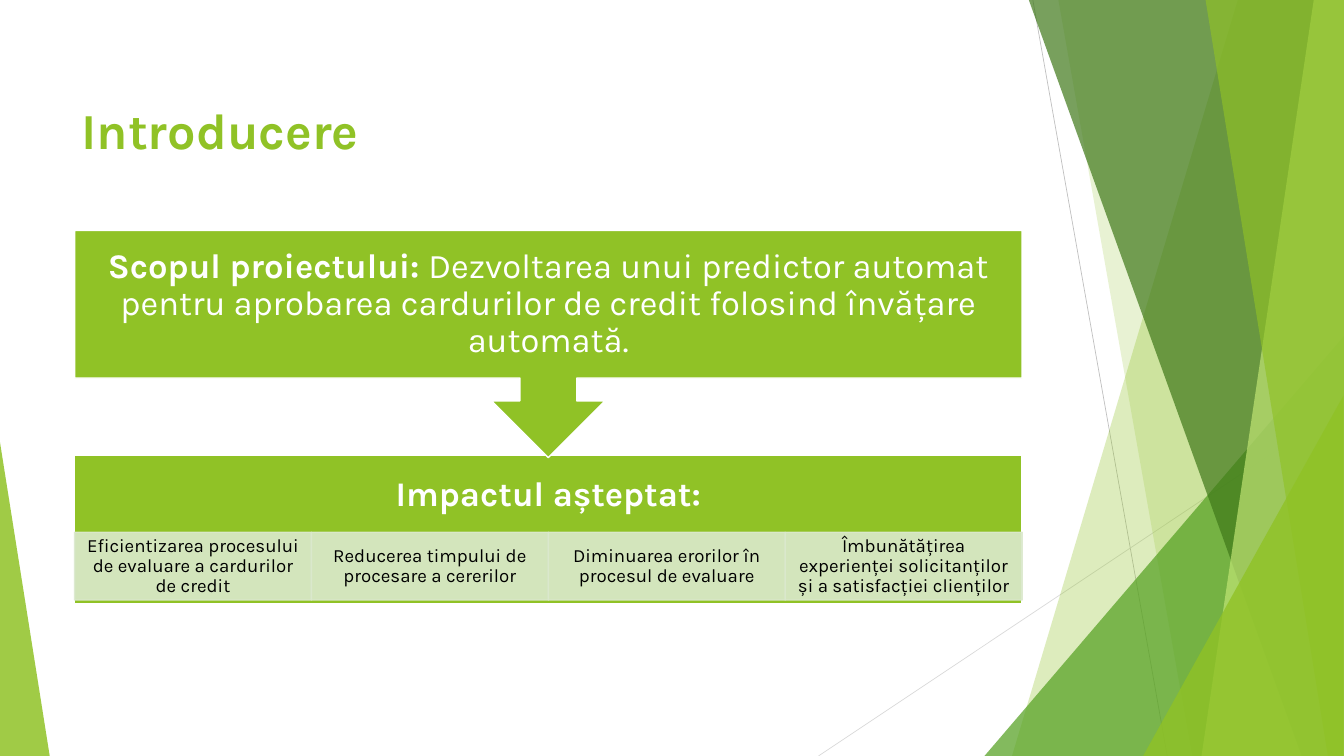
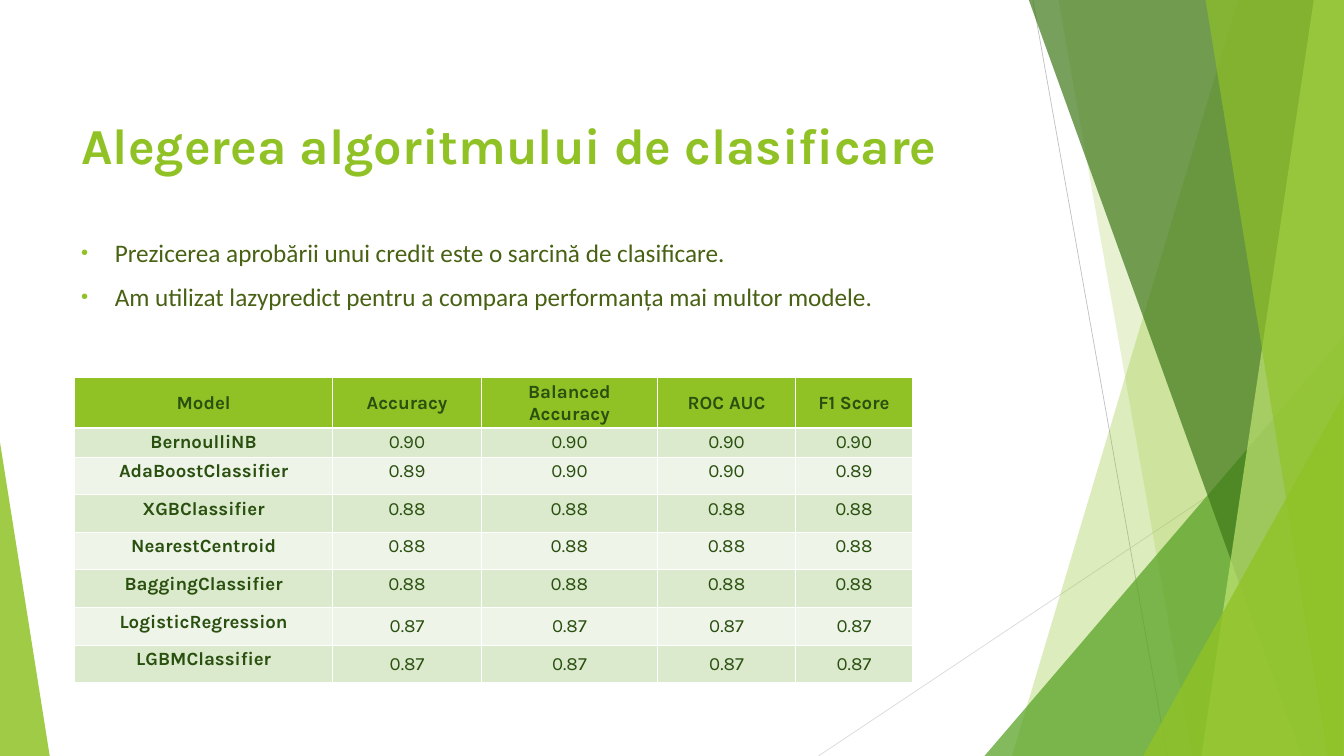
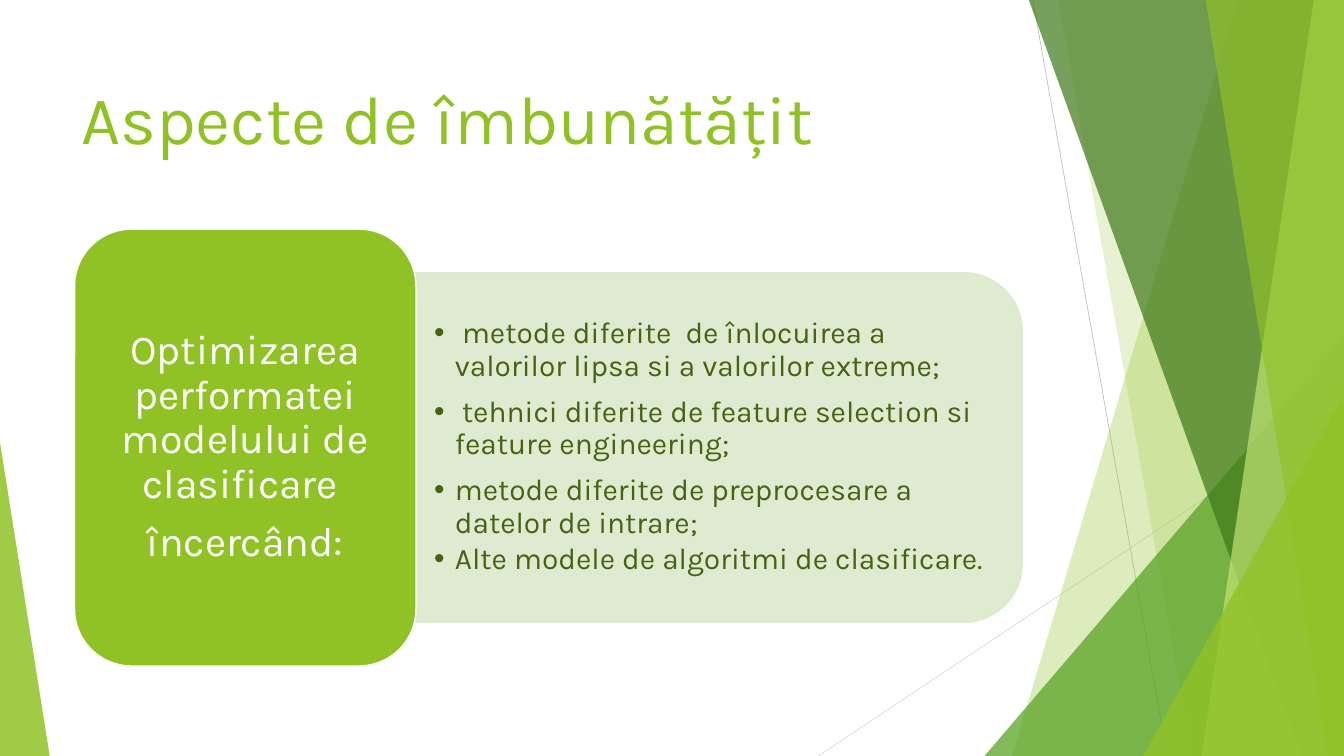
from dataclasses import dataclass

from lxml.etree import SubElement
from pptx import Presentation
from pptx.dml.color import RGBColor
from pptx.enum.shapes import MSO_CONNECTOR, MSO_SHAPE
from pptx.enum.text import MSO_ANCHOR, MSO_AUTO_SIZE, PP_ALIGN
from pptx.oxml.ns import qn
from pptx.util import Inches, Pt

RECT = MSO_SHAPE.RECTANGLE
ROUND_RECT = MSO_SHAPE.ROUNDED_RECTANGLE
TAB_RECT = MSO_SHAPE.ROUND_2_SAME_RECTANGLE
CALLOUT = MSO_SHAPE.DOWN_ARROW_CALLOUT
TRIANGLE = MSO_SHAPE.ISOSCELES_TRIANGLE
STRAIGHT = MSO_CONNECTOR.STRAIGHT
LEFT, CENTER = PP_ALIGN.LEFT, PP_ALIGN.CENTER
TOP, MIDDLE = MSO_ANCHOR.TOP, MSO_ANCHOR.MIDDLE
NO_FIT = MSO_AUTO_SIZE.NONE

WIDTH, HEIGHT = Inches(20), Inches(11.25)
HEAD_FONT, BODY_FONT = "Karla", "Calibri"
TITLE_ONLY = 5

COLORS = {
    "white": "FFFFFF", "black": "000000", "lime": "90C226", "leaf": "54A021",
    "forest": "3F7819", "light_lime": "C0E474", "pale": "DBE9CD",
    "paler": "EEF4E8", "olive": "486113", "pine": "2A5010",
    "grey": "BFBFBF", "light_grey": "D9D9D9",
}

RULES = [(76.85, 0, 86.85, 100, "grey"), (99.95, 53.69, 60.9, 100, "light_grey")]
BANDS = [
    ("pane", (92.1, 75.3), "lime", 30),
    ("pane", (78.75, 88.7), "lime", 20),
    ("wedge", (73.25, 44.44, 26.75, 55.56, 1), "leaf", 72),
    ("pane", (76.55, 96.85), "forest", 70),
    ("pane", (97.75, 89.4), "light_lime", 70),
    ("pane", (89.7, 98.8), "lime", 65),
    ("wedge", (85.05, 52.36, 14.9, 47.64, 1), "lime", 80),
    ("wedge", (0, 58.49, 3.7, 41.51, 0), "lime", 85),
]

IMPACTS = [
    "Eficientizarea procesului de evaluare a cardurilor de credit",
    "Reducerea timpului de procesare a cererilor",
    "Diminuarea erorilor în procesul de evaluare",
    "Îmbunătățirea experienței solicitanților și a satisfacției clienților",
]
NOTES = [
    "Prezicerea aprobării unui credit este o sarcină de clasificare.",
    "Am utilizat lazypredict pentru a compara performanța mai multor modele.",
]
SCORES = [
    ("Model", "Accuracy", "Balanced Accuracy", "ROC AUC", "F1 Score"),
    ("BernoulliNB", "0.90", "0.90", "0.90", "0.90"),
    ("AdaBoostClassifier", "0.89", "0.90", "0.90", "0.89"),
    ("XGBClassifier",) + ("0.88",) * 4,
    ("NearestCentroid",) + ("0.88",) * 4,
    ("BaggingClassifier",) + ("0.88",) * 4,
    ("LogisticRegression",) + ("0.87",) * 4,
    ("LGBMClassifier",) + ("0.87",) * 4,
]
COLUMN_SHARES = [30.81, 17.73, 21.04, 16.46, 13.96]
ROW_SHARES = [16.15, 9.51] + [12.39] * 6
GOAL = [
    ("Scopul proiectului: ", True),
    ("Dezvoltarea unui predictor automat pentru aprobarea cardurilor de credit "
     "folosind învățare automată.", False),
]
AIM = ["Optimizarea performatei modelului de clasificare ", "încercând:"]
METHODS = [
    " metode diferite  de înlocuirea a valorilor lipsa si a valorilor extreme;",
    " tehnici diferite de feature selection si feature engineering;",
    "metode diferite de preprocesare a datelor de intrare;",
    "Alte modele de algoritmi de clasificare.",
]
METHOD_GAPS = [15, 15, 4.8, 0]


@dataclass
class Box:
    """Rectangle in EMU whose areas are given as percentages of it."""
    left: int
    top: int
    width: int
    height: int

    def x(self, share):
        """Horizontal position at a percentage of the width."""
        return int(self.left + self.width * share / 100)

    def y(self, share):
        """Vertical position at a percentage of the height."""
        return int(self.top + self.height * share / 100)

    def area(self, left, top, width, height):
        """Box inside this one."""
        return Box(self.x(left), self.y(top),
                   int(self.width * width / 100), int(self.height * height / 100))

    def turned(self):
        """Frame that covers this box after a quarter turn."""
        shift = (self.width - self.height) // 2
        return Box(self.left + shift, self.top - shift, self.height, self.width)

    def bounds(self):
        """Left, top, width and height for the add methods."""
        return self.left, self.top, self.width, self.height


SLIDE = Box(0, 0, WIDTH, HEIGHT)


def rgb(name):
    """Colour object for a palette name."""
    return RGBColor.from_string(COLORS[name])


def paint(shape, color, alpha=100, line=None):
    """Set fill, outline and opacity, and drop the shadow."""
    shape.shadow.inherit = False
    shape.fill.solid()
    shape.fill.fore_color.rgb = rgb(color)
    if line:
        shape.line.color.rgb = rgb(line)
        shape.line.width = Pt(1.5)
    else:
        shape.line.fill.background()
    if alpha < 100:
        for clr in shape.element.spPr.iter(qn("a:srgbClr")):
            SubElement(clr, qn("a:alpha")).set("val", str(alpha * 1000))


def add_block(slide, kind, box, color, alpha=100, line="white"):
    """Add an outlined preset shape."""
    sp = slide.shapes.add_shape(kind, *box.bounds())
    paint(sp, color, alpha, line)
    return sp


def frame_text(tf, insets=(0.1, 0.05, 0.1, 0.05), anchor=MIDDLE):
    """Set wrapping, anchor and insets in inches."""
    tf.word_wrap = True
    tf.auto_size = NO_FIT
    tf.vertical_anchor = anchor
    tf.margin_left, tf.margin_top, tf.margin_right, tf.margin_bottom = map(Inches, insets)


def add_runs(p, runs, size, color, font=HEAD_FONT, align=CENTER):
    """Fill a paragraph with (text, bold) runs."""
    p.alignment = align
    for text, bold in runs:
        r = p.add_run()
        r.text = text
        r.font.name, r.font.size, r.font.bold = font, Pt(size), bold
        r.font.color.rgb = rgb(color)


def add_paragraphs(tf, texts, *style, **options):
    """Yield one filled paragraph for each text."""
    for i, text in enumerate(texts):
        p = tf.add_paragraph() if i else tf.paragraphs[0]
        add_runs(p, [(text, False)], *style, **options)
        yield p


def add_bullet(p, indent, color=None, size=100):
    """Give a paragraph a hanging bullet."""
    pPr = p._p.get_or_add_pPr()
    pPr.set("marL", str(Inches(indent)))
    pPr.set("indent", str(-Inches(indent)))
    if color:
        clr = SubElement(SubElement(pPr, qn("a:buClr")), qn("a:srgbClr"))
        clr.set("val", COLORS[color])
    SubElement(pPr, qn("a:buSzPct")).set("val", str(size * 1000))
    SubElement(pPr, qn("a:buFont")).set("typeface", "Arial")
    SubElement(pPr, qn("a:buChar")).set("char", "•")


def add_rule(slide, x1, y1, x2, y2, color):
    """Add a thin line across the slide."""
    line = slide.shapes.add_connector(
        STRAIGHT, SLIDE.x(x1), SLIDE.y(y1), SLIDE.x(x2), SLIDE.y(y2))
    line.line.color.rgb = rgb(color)
    line.line.width = Pt(0.75)
    SubElement(line.element.spPr, qn("a:effectLst"))
    return line


def add_pane(slide, top, bottom):
    """Add a panel with a slanted left edge that reaches the right edge."""
    builder = slide.shapes.build_freeform(SLIDE.x(top), 0, scale=1.0)
    builder.add_line_segments(
        [(WIDTH, 0), (WIDTH, HEIGHT), (SLIDE.x(bottom), HEIGHT)], close=True)
    return builder.convert_to_shape()


def add_wedge(slide, left, top, width, height, apex):
    """Add a right-angled triangle."""
    sp = slide.shapes.add_shape(TRIANGLE, *SLIDE.area(left, top, width, height).bounds())
    sp.adjustments[0] = apex
    return sp


def build_backdrop(prs, slide):
    """Draw the shared bands and move them to the slide master."""
    drawn = [add_rule(slide, *rule) for rule in RULES]
    makers = {"pane": add_pane, "wedge": add_wedge}
    for kind, place, color, alpha in BANDS:
        sp = makers[kind](slide, *place)
        paint(sp, color, alpha)
        drawn.append(sp)
    tree = prs.slide_master.element.cSld.spTree
    for number, sp in enumerate(drawn, 100):
        sp.element[0][0].set("id", str(number))
        tree.append(sp.element)


def add_titled_slide(prs, title, box, size=54, bold=True, anchor=MIDDLE, top_inset=0.05):
    """Add a slide and format its title."""
    slide = prs.slides.add_slide(prs.slide_layouts[TITLE_ONLY])
    sp = slide.shapes.title
    sp.left, sp.top, sp.width, sp.height = box.bounds()
    frame_text(sp.text_frame, (0.1, top_inset, 0.1, 0.05), anchor)
    add_runs(sp.text_frame.paragraphs[0], [(title, bold)], size, "lime", align=LEFT)
    return slide


def build_goal_flow(slide, box):
    """Goal callout that points to the expected impact and its details."""
    impact = add_block(slide, RECT, box.area(0, 60.36, 100, 39.64), "lime")
    frame_text(impact.text_frame, (0.29, 0.29, 0.29, 1.3))
    heading = impact.text_frame.paragraphs[0]
    add_runs(heading, [("Impactul așteptat:", True)], 37, "white")
    heading.line_spacing = 0.9

    step = 100 / len(IMPACTS)
    for i, text in enumerate(IMPACTS):
        cell = add_block(slide, RECT, box.area(i * step, 80.9, step, 18.2),
                         "pale", 90, "pale")
        frame_text(cell.text_frame, (0.16, 0.03, 0.16, 0.03))
        p = cell.text_frame.paragraphs[0]
        add_runs(p, [(text, False)], 20, "black")
        p.line_spacing = 0.9

    goal = add_block(slide, CALLOUT, box.area(0, 0, 100, 60.9), "lime")
    frame_text(goal.text_frame, (0.29,) * 4)
    p = goal.text_frame.paragraphs[0]
    add_runs(p, GOAL, 37, "white")
    p.line_spacing = 0.9


def build_notes(slide, box):
    """Bulleted notes above the score table."""
    tf = slide.shapes.add_textbox(*box.bounds()).text_frame
    frame_text(tf)
    for p in add_paragraphs(tf, NOTES, 27, "olive", font=BODY_FONT, align=LEFT):
        p.space_before = Pt(15)
        add_bullet(p, 0.5, "lime", 80)


def add_borders(cell, **widths):
    """Draw white cell borders, widths in points by side."""
    tcPr = cell._tc.get_or_add_tcPr()
    for side in "LRTB":
        ln = SubElement(tcPr, qn(f"a:ln{side}"))
        ln.set("w", str(Pt(widths.get(side, 1))))
        clr = SubElement(SubElement(ln, qn("a:solidFill")), qn("a:srgbClr"))
        clr.set("val", COLORS["white"])


def build_score_table(slide, box):
    """Table of model scores with a green header and banded rows."""
    table = slide.shapes.add_table(len(SCORES), len(SCORES[0]), *box.bounds()).table
    for column, share in zip(table.columns, COLUMN_SHARES):
        column.width = int(box.width * share / 100)
    for row, share in zip(table.rows, ROW_SHARES):
        row.height = int(box.height * share / 100)
    for i, scores in enumerate(SCORES):
        for j, text in enumerate(scores):
            cell = table.cell(i, j)
            add_borders(cell, T=3 if i == 1 else 1, B=3 if i == 0 else 1)
            cell.fill.solid()
            cell.fill.fore_color.rgb = rgb(
                "lime" if i == 0 else "pale" if i % 2 else "paler")
            cell.vertical_anchor = MIDDLE if i == 0 or (i > 5 and j) else TOP
            add_runs(cell.text_frame.paragraphs[0], [(text, i == 0 or j == 0)], 20, "pine")


def build_improvements(slide, box):
    """Card with the aim, joined to a panel of methods."""
    panel = add_block(slide, TAB_RECT, box.area(36.03, 10, 63.97, 80).turned(),
                      "pale", 90, "pale")
    panel.rotation = 90
    tf = slide.shapes.add_textbox(*box.area(36.03, 13.85, 62.2, 72.15).bounds()).text_frame
    frame_text(tf, (0.27, 0.14, 0.27, 0.14))
    methods = add_paragraphs(tf, METHODS, 32, "olive", align=LEFT)
    for p, gap in zip(methods, METHOD_GAPS):
        p.line_spacing = 0.9
        p.space_after = Pt(gap)
        add_bullet(p, 0.31)

    card = add_block(slide, ROUND_RECT, box.area(0, 0, 36.03, 100), "lime")
    frame_text(card.text_frame, (0.18, 0.09, 0.18, 0.09))
    for p in add_paragraphs(card.text_frame, AIM, 44, "white"):
        p.line_spacing = 0.9
        p.space_after = Pt(15.4)


def main():
    """Build the three slides and save them."""
    prs = Presentation()
    prs.slide_width, prs.slide_height = WIDTH, HEIGHT

    intro = add_titled_slide(prs, "Introducere", SLIDE.area(5.55, 9.42, 70.5, 15.29))
    build_backdrop(prs, intro)
    build_goal_flow(intro, SLIDE.area(5.55, 30.49, 70.5, 49.33))

    choice = add_titled_slide(prs, "Alegerea algoritmului de clasificare",
                              SLIDE.area(5.55, 8.89, 69.9, 20.44))
    build_notes(choice, SLIDE.area(5.55, 29.33, 62.35, 13.87))
    build_score_table(choice, SLIDE.area(5.55, 49.96, 62.35, 40.18))

    future = add_titled_slide(prs, "Aspecte de îmbunătățit",
                              SLIDE.area(5.55, 8.89, 70.5, 22.93),
                              size=73, bold=False, anchor=TOP, top_inset=0.14)
    build_improvements(future, SLIDE.area(5.55, 30.31, 70.5, 57.78))
    prs.save("out.pptx")


if __name__ == "__main__":
    main()
